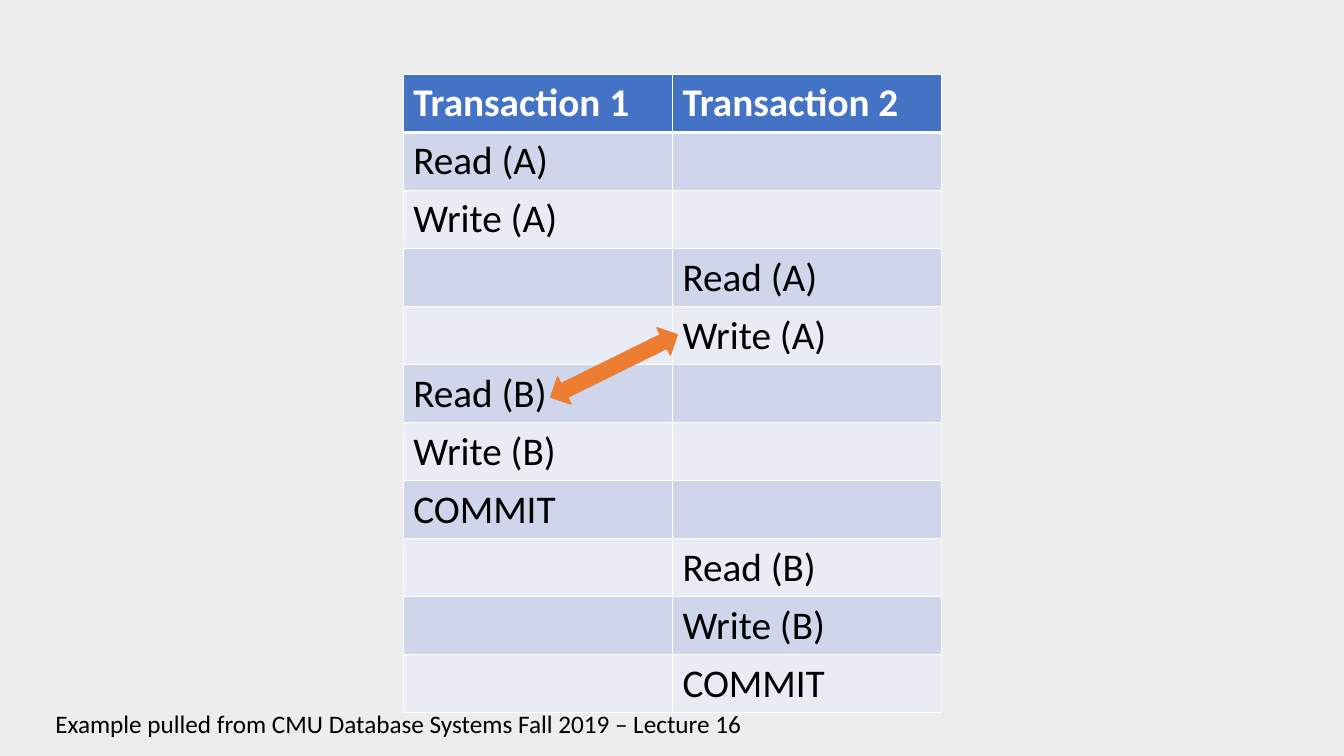
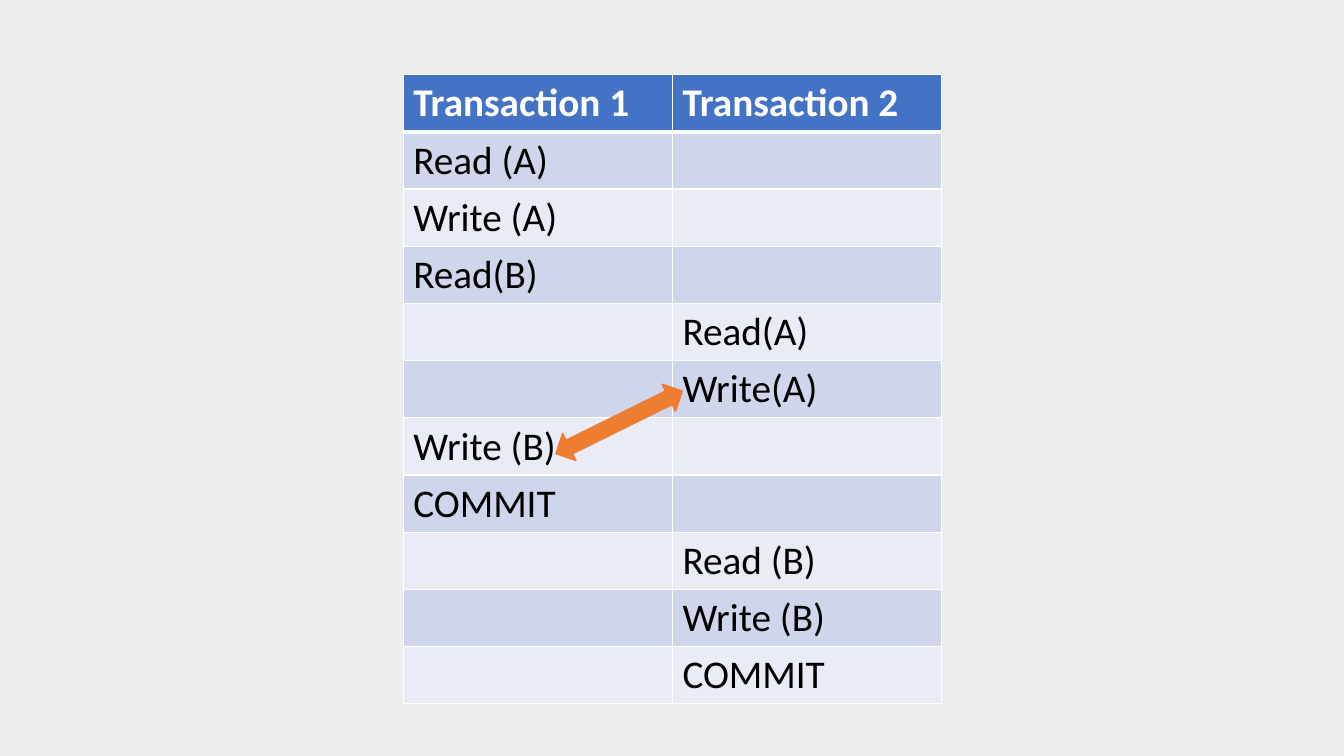
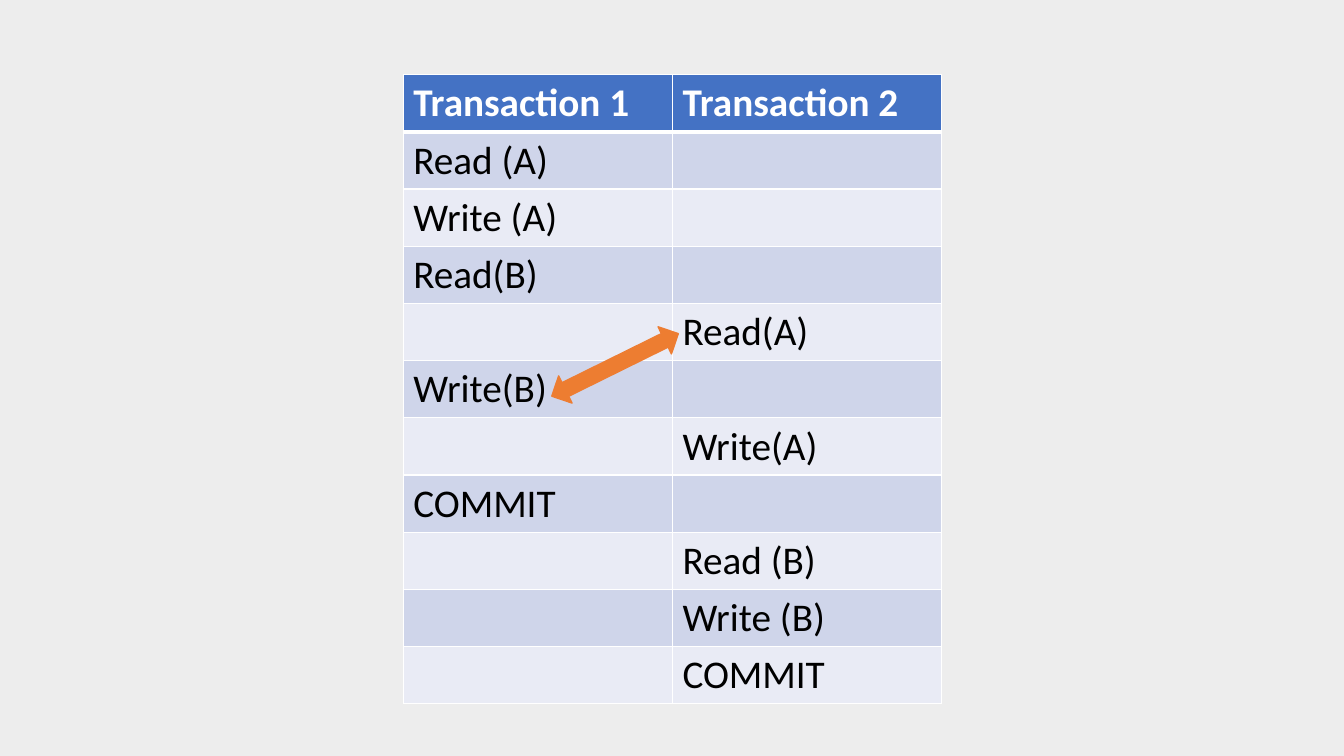
"""Build three slides comparing interleaved transaction schedules."""
from dataclasses import dataclass

from lxml.etree import SubElement
from pptx import Presentation
from pptx.dml.color import RGBColor as Rgb
from pptx.enum.shapes import MSO_SHAPE as Shape
from pptx.enum.text import MSO_AUTO_SIZE as AutoSize
from pptx.oxml.ns import qn
from pptx.slide import Slide
from pptx.table import _Cell as Cell
from pptx.text.text import TextFrame
from pptx.util import Inches, Pt


@dataclass(frozen=True)
class Theme:
    background: Rgb = Rgb.from_string("EDEDED")
    header: Rgb = Rgb.from_string("4472C4")
    bands: tuple[Rgb, Rgb] = (Rgb.from_string("CFD5EA"), Rgb.from_string("E9EBF5"))
    ink: Rgb = Rgb.from_string("000000")
    white: Rgb = Rgb.from_string("FFFFFF")
    arrow: Rgb = Rgb.from_string("ED7D31")
    arrow_edge: Rgb = Rgb.from_string("ED7D33")
    font: str = "Calibri"
    table_size: int = 28
    credit_size: int = 18
    thin: int = 1
    thick: int = 3


@dataclass(frozen=True)
class Step:
    transaction: int
    operation: str


@dataclass(frozen=True)
class Schedule:
    steps: tuple[Step, ...]
    swap_left: float
    swap_top: float
    credit: str = ""


THEME = Theme()
HEADINGS = ("Transaction 1", "Transaction 2")
OPENING = (Step(1, "Read (A)"), Step(1, "Write (A)"))
CLOSING = (
    Step(1, "COMMIT"),
    Step(2, "Read (B)"),
    Step(2, "Write (B)"),
    Step(2, "COMMIT"),
)
SCHEDULES = (
    Schedule(
        (
            *OPENING,
            Step(2, "Read (A)"),
            Step(2, "Write (A)"),
            Step(1, "Read (B)"),
            Step(1, "Write (B)"),
            *CLOSING,
        ),
        5.94,
        2.93,
        "Example pulled from CMU Database Systems Fall 2019 – Lecture 16",
    ),
    Schedule(
        (
            *OPENING,
            Step(1, "Read(B)"),
            Step(2, "Read(A)"),
            Step(2, "Write(A)"),
            Step(1, "Write (B)"),
            *CLOSING,
        ),
        5.99,
        3.49,
    ),
    Schedule(
        (
            *OPENING,
            Step(1, "Read(B)"),
            Step(2, "Read(A)"),
            Step(1, "Write(B)"),
            Step(2, "Write(A)"),
            *CLOSING,
        ),
        5.95,
        2.92,
    ),
)


def write(frame: TextFrame, text: str, size: int, color: Rgb, bold: bool = False) -> None:
    """Put one formatted line of text in a frame."""
    frame.text = text
    for run in frame.paragraphs[0].runs:
        run.font.name = THEME.font
        run.font.size = Pt(size)
        run.font.bold = bold
        run.font.color.rgb = color


def set_borders(cell: Cell, row: int) -> None:
    """Outline a cell in white, with a thick rule under the header."""
    top = THEME.thick if row == 1 else THEME.thin
    bottom = THEME.thick if row == 0 else THEME.thin
    widths = {"lnL": THEME.thin, "lnR": THEME.thin, "lnT": top, "lnB": bottom}
    properties = cell._tc.get_or_add_tcPr()
    for side, width in widths.items():
        edge = SubElement(properties, qn(f"a:{side}"), w=str(Pt(width)))
        fill = SubElement(edge, qn("a:solidFill"))
        SubElement(fill, qn("a:srgbClr"), val=str(THEME.white))


def draw_timeline(slide: Slide, steps: tuple[Step, ...]) -> None:
    """Draw the table with one column per transaction and one row per step."""
    rows = [HEADINGS]
    for step in steps:
        rows.append(tuple(
            step.operation if step.transaction == number else ""
            for number in range(1, len(HEADINGS) + 1)
        ))
    timeline = slide.shapes.add_table(
        len(rows), len(HEADINGS), Inches(4), Inches(0.74), Inches(5.34), Inches(6.23)
    ).table
    for row, texts in enumerate(rows):
        is_header = row == 0
        for column, text in enumerate(texts):
            cell = timeline.cell(row, column)
            set_borders(cell, row)
            cell.fill.solid()
            cell.fill.fore_color.rgb = THEME.header if is_header else THEME.bands[(row - 1) % 2]
            color = THEME.white if is_header else THEME.ink
            write(cell.text_frame, text, THEME.table_size, color, is_header)


def draw_credit(slide: Slide, credit: str) -> None:
    """Write the origin of the example at the foot of the slide."""
    box = slide.shapes.add_textbox(Inches(0.45), Inches(6.98), Inches(7.09), Inches(0.4))
    box.text_frame.word_wrap = False
    box.text_frame.auto_size = AutoSize.SHAPE_TO_FIT_TEXT
    write(box.text_frame, credit, THEME.credit_size, THEME.ink)


def draw_swap(slide: Slide, left: float, top: float) -> None:
    """Point out the two operations that trade places."""
    swap = slide.shapes.add_shape(
        Shape.UP_DOWN_ARROW, Inches(left), Inches(top), Inches(0.3), Inches(1.4)
    )
    swap.rotation = 243.7
    swap.shadow.inherit = False
    swap.fill.solid()
    swap.fill.fore_color.rgb = THEME.arrow
    swap.line.color.rgb = THEME.arrow_edge
    swap.line.width = Pt(THEME.thin)


def main() -> None:
    """Assemble and save the presentation."""
    deck = Presentation()
    deck.slide_width, deck.slide_height = Inches(13.33), Inches(7.5)
    backdrop = deck.slide_master.background.fill
    backdrop.solid()
    backdrop.fore_color.rgb = THEME.background
    for schedule in SCHEDULES:
        slide = deck.slides.add_slide(deck.slide_layouts[6])
        draw_timeline(slide, schedule.steps)
        if schedule.credit:
            draw_credit(slide, schedule.credit)
        draw_swap(slide, schedule.swap_left, schedule.swap_top)
    deck.save("out.pptx")


if __name__ == "__main__":
    main()
